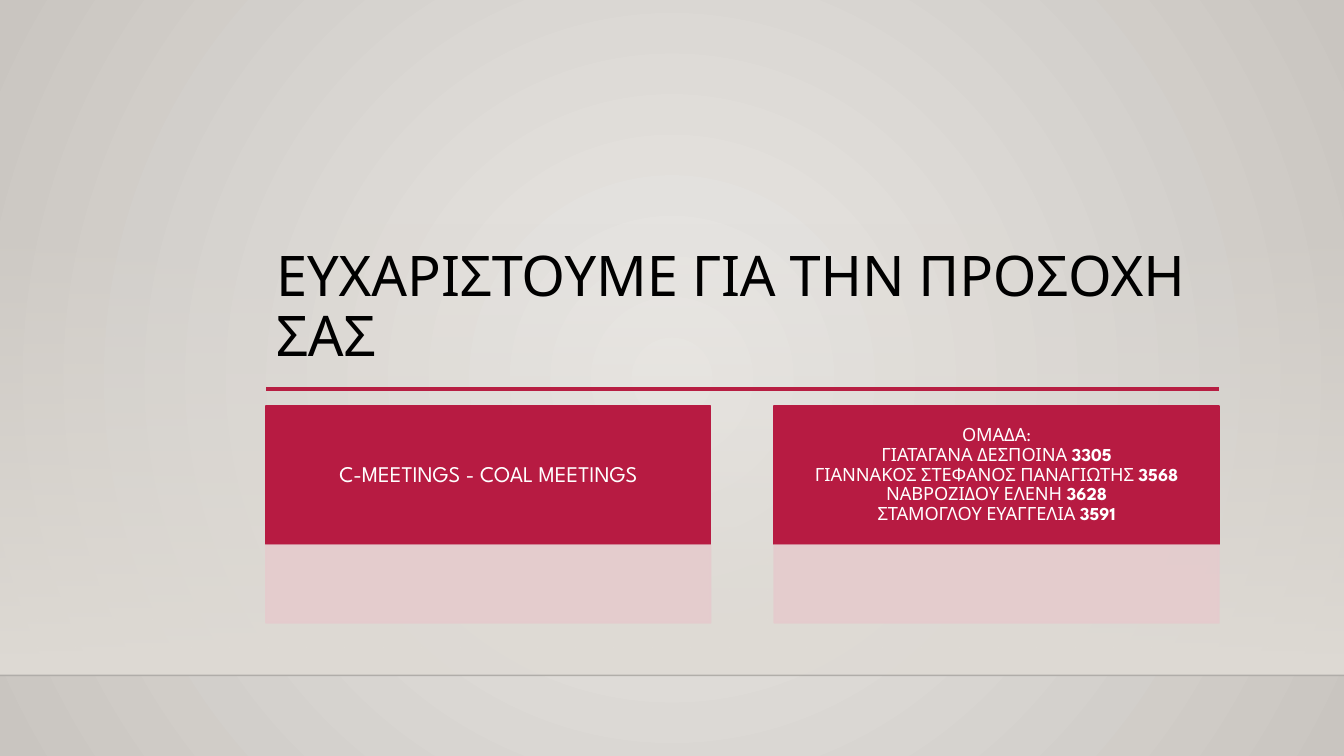
from dataclasses import dataclass

from lxml import etree
from pptx import Presentation
from pptx import util as u
from pptx.dml.color import RGBColor
from pptx.enum import shapes, text
from pptx.oxml.ns import qn

WIDTH, HEIGHT = u.Inches(13.33), u.Inches(7.5)
FONT = "League Spartan"
CRIMSON, RULE, ROSE = "B71B42", "B71E42", "E5CBCD"
LEFT, SPAN = 19.8, 70.89
CARD_WIDTH = 33.08
CARD_STEP = SPAN - CARD_WIDTH


@dataclass(frozen=True)
class Area:
    left: float
    top: float
    width: float
    height: float

    def emu(self) -> tuple:
        return (across(self.left), down(self.top),
                across(self.width), down(self.height))


@dataclass(frozen=True)
class Rule:
    left: float
    right: float
    top: float
    color: str
    points: float
    opacity: int = 100


@dataclass(frozen=True)
class Card:
    lines: tuple
    size: float


RULES = (
    Rule(0, 100, 89.33, "000001", 1, 20),
    Rule(LEFT, LEFT + SPAN, 51.47, RULE, 2.5),
)
CARDS = (
    Card((("C-MEETINGS - COAL MEETINGS", ""),), 16),
    Card((
        ("ΟΜΑΔΑ:", ""),
        ("ΓΙΑΤΑΓΑΝΑ ΔΕΣΠΟΙΝΑ ", "3305"),
        ("ΓΙΑΝΝΑΚΟΣ ΣΤΕΦΑΝΟΣ ΠΑΝΑΓΙΩΤΗΣ ", "3568"),
        ("ΝΑΒΡΟΖΙΔΟΥ ΕΛΕΝΗ ", "3628"),
        ("ΣΤΑΜΟΓΛΟΥ ΕΥΑΓΓΕΛΙΑ ", "3591"),
    ), 13),
)


def across(percent: float) -> int:
    return round(WIDTH * percent / 100)


def down(percent: float) -> int:
    return round(HEIGHT * percent / 100)


def paint(color_format, color: str) -> None:
    color_format.rgb = RGBColor.from_string(color)


def apply(target, formats: dict) -> None:
    for attribute, value in formats.items():
        setattr(target, attribute, value)


def set_opacity(parent, percent: int) -> None:
    for color in parent.iter(qn("a:srgbClr")):
        etree.SubElement(color, qn("a:alpha"), val=str(percent * 1000))


def blend(fill, colors: tuple) -> None:
    fill.gradient()
    for stop, color in zip(fill.gradient_stops, colors):
        paint(stop.color, color)


def draw_backdrop(slide) -> None:
    fill = slide.background.fill
    blend(fill, ("EBE9E6", "C9C5C0"))
    gradient = next(slide.element.iter(qn("a:gradFill")))
    gradient.remove(gradient.find(qn("a:lin")))
    circle = etree.SubElement(gradient, qn("a:path"), path="circle")
    etree.SubElement(circle, qn("a:fillToRect"),
                     {side: "50000" for side in "ltrb"})


def draw_box(slide, area: Area):
    box = slide.shapes.add_shape(shapes.MSO_SHAPE.RECTANGLE, *area.emu())
    box.shadow.inherit = False
    return box


def draw_wall(slide) -> None:
    wall = draw_box(slide, Area(0, 29.47, 100, 59.87))
    wall.line.fill.background()
    blend(wall.fill, ("DFDBD5", "DFDBD5"))
    wall.fill.gradient_angle = 270
    set_opacity(next(wall.element.iter(qn("a:gs"))), 0)


def draw_rule(slide, rule: Rule) -> None:
    y = down(rule.top)
    line = slide.shapes.add_connector(
        shapes.MSO_CONNECTOR.STRAIGHT, across(rule.left), y, across(rule.right), y)
    paint(line.line.color, rule.color)
    line.line.width = u.Pt(rule.points)
    properties = line.element.spPr
    if rule.opacity < 100:
        set_opacity(properties, rule.opacity)
    etree.SubElement(properties, qn("a:effectLst"))


def draw_panel(slide, area: Area, color: str, opacity: int = 100):
    panel = draw_box(slide, area)
    panel.fill.solid()
    paint(panel.fill.fore_color, color)
    paint(panel.line.color, color)
    panel.line.width = u.Pt(1.25)
    if opacity < 100:
        set_opacity(panel.element.spPr, opacity)
    return panel


def write(frame, lines: tuple, size: float, color: str,
          alignment, anchor, margins: tuple) -> None:
    sides = ("margin_left", "margin_top", "margin_right", "margin_bottom")
    apply(frame, {"word_wrap": True, "vertical_anchor": anchor,
                  **dict(zip(sides, map(u.Inches, margins)))})
    paragraph = frame.paragraphs[0]
    apply(paragraph, {"alignment": alignment, "line_spacing": 0.9})
    for index, (words, number) in enumerate(lines):
        if index:
            paragraph.add_line_break()
        for content, bold in ((words, False), (number, True)):
            if content:
                run = paragraph.add_run()
                run.text = content
                apply(run.font, {"name": FONT, "size": u.Pt(size), "bold": bold})
                paint(run.font.color, color)


def draw_title(slide) -> None:
    title = slide.shapes.add_textbox(*Area(LEFT, 11.73, SPAN, 37.07).emu())
    write(title.text_frame, (("ΕΥΧΑΡΙΣΤΟΥΜΕ ΓΙΑ ΤΗΝ ΠΡΟΣΟΧΗ ΣΑΣ", ""),), 40,
          "000000", text.PP_ALIGN.LEFT, text.MSO_ANCHOR.BOTTOM,
          (0.1, 0.05, 0.1, 0))


def draw_card(slide, card: Card, column: int) -> None:
    left = LEFT + column * CARD_STEP
    heading = draw_panel(slide, Area(left, 53.73, CARD_WIDTH, 18.27), CRIMSON)
    write(heading.text_frame, card.lines, card.size, "FFFFFF",
          text.PP_ALIGN.CENTER, text.MSO_ANCHOR.MIDDLE,
          (0.12, 0.07, 0.12, 0.07))
    draw_panel(slide, Area(left, 72.13, CARD_WIDTH, 10.27), ROSE, 90)


def main() -> None:
    deck = Presentation()
    apply(deck, {"slide_width": WIDTH, "slide_height": HEIGHT})
    slide = deck.slides.add_slide(deck.slide_layouts[6])
    draw_backdrop(slide)
    draw_wall(slide)
    for rule in RULES:
        draw_rule(slide, rule)
    draw_title(slide)
    for column, card in enumerate(CARDS):
        draw_card(slide, card, column)
    deck.save("out.pptx")


if __name__ == "__main__":
    main()
